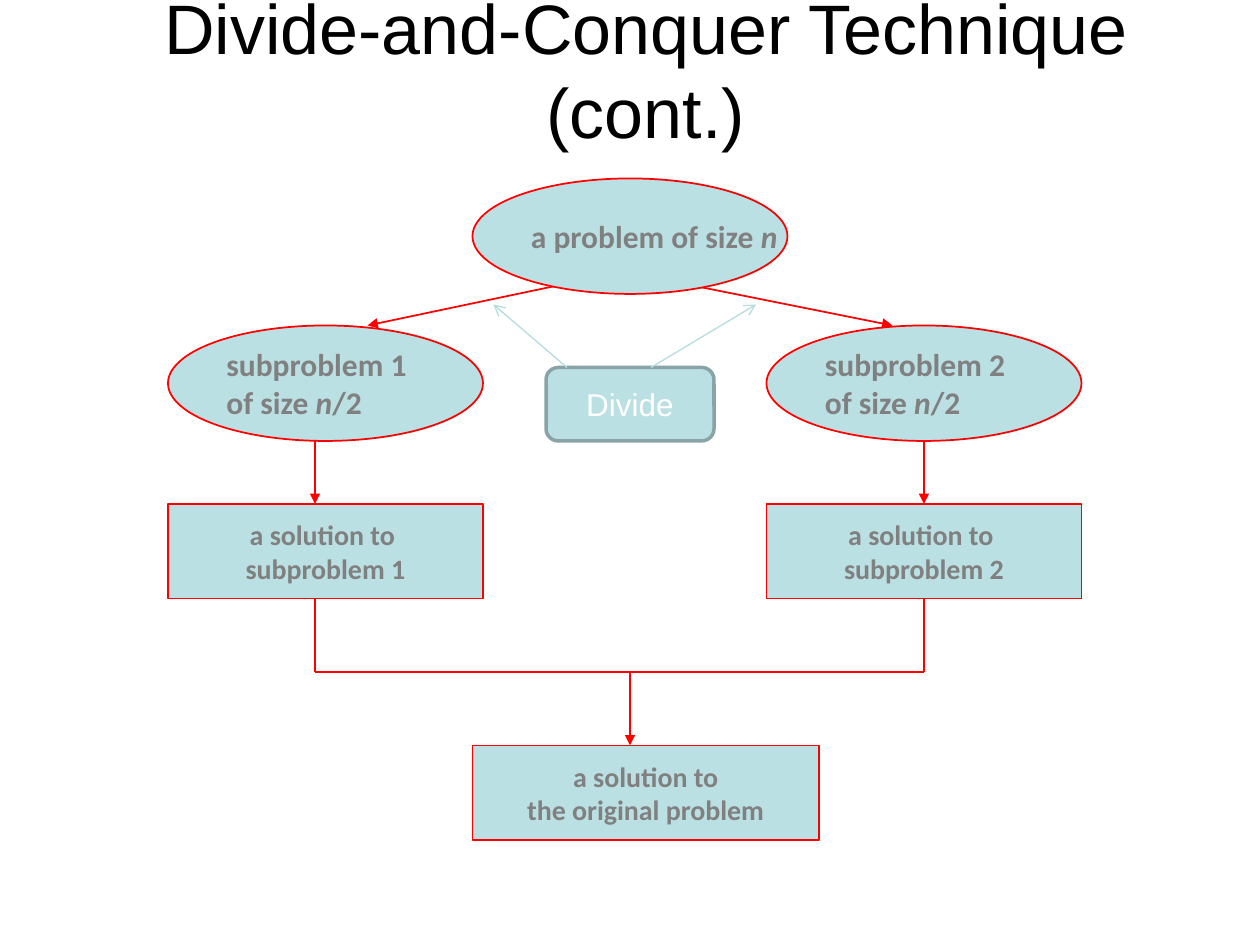
from lxml import etree
from pptx import Presentation
from pptx.dml.color import RGBColor
from pptx.enum.shapes import MSO_CONNECTOR, MSO_SHAPE
from pptx.enum.text import MSO_ANCHOR, MSO_AUTO_SIZE, PP_ALIGN
from pptx.oxml.ns import qn
from pptx.util import Emu, Pt

SCALE = 9525  # EMU per px, 96 px to the inch
OVAL, RECT, ROUND = MSO_SHAPE.OVAL, MSO_SHAPE.RECTANGLE, MSO_SHAPE.ROUNDED_RECTANGLE
STRAIGHT = MSO_CONNECTOR.STRAIGHT
LEFT, CENTER = PP_ALIGN.LEFT, PP_ALIGN.CENTER
MIDDLE, NO_AUTOFIT = MSO_ANCHOR.MIDDLE, MSO_AUTO_SIZE.NONE
COLORS = {
    "title": "000000", "node": "BBE0E3", "edge": "FF0000", "text": "808080",
    "label": "FFFFFF", "label_edge": "89A4A7", "pointer": "B6DCDF",
}


def px(value):
    return Emu(value * SCALE)


def color(name):
    return RGBColor.from_string(COLORS[name])


def style_font(para, size, name, color_name, bold=False):
    font = para.font
    font.size, font.name, font.bold = Pt(size), name, bold
    font.color.rgb = color(color_name)


def add_node(page, kind, box, edge="edge", width=1):
    node = page.shapes.add_shape(kind, *map(px, box))
    node.shadow.inherit = False
    node.fill.solid()
    node.fill.fore_color.rgb = color("node")
    node.line.color.rgb = color(edge)
    node.line.width = Pt(width)
    node.text_frame.vertical_anchor = MIDDLE
    return node


def add_text_node(page, kind, box, lines, size, align):
    """Each line is a list of spans; the span "n" is set in italics."""
    frame = add_node(page, kind, box).text_frame
    frame.word_wrap = False
    for index, spans in enumerate(lines):
        para = frame.add_paragraph() if index else frame.paragraphs[0]
        para.alignment = align
        style_font(para, size, "Calibri", "text", bold=True)
        for text in spans:
            span = para.add_run()
            span.text = text
            if text == "n":
                span.font.italic = True


def add_line(page, start, end, head=None, color_name="edge", width=1):
    line = page.shapes.add_connector(STRAIGHT, *map(px, start + end))
    line.line.color.rgb = color(color_name)
    line.line.width = Pt(width)
    if head:
        etree.SubElement(line.line._get_or_add_ln(), qn("a:tailEnd"), type=head)
    etree.SubElement(line._element.spPr, qn("a:effectLst"))


def add_title(page, box):
    title = page.shapes.title
    title.left, title.top, title.width, title.height = map(px, box)
    frame = title.text_frame
    frame.text = "Divide-and-Conquer Technique (cont.)"
    frame.auto_size = NO_AUTOFIT
    frame.vertical_anchor = MIDDLE
    para = frame.paragraphs[0]
    para.alignment = CENTER
    style_font(para, 40, "Arial", "title")


def add_branch(page, box, number, trunk, join):
    """Subproblem above its solution, with a trunk down to the join line."""
    left, top, width, height = box
    oval_height, solution_height = 88, 72
    solution_top = top + height - solution_height
    add_text_node(page, OVAL, (left, top, width, oval_height),
                  [[f"subproblem {number}"], ["of size ", "n", "/2"]], 18, LEFT)
    add_text_node(page, RECT, (left, solution_top, width, solution_height),
                  [["a solution to "], [f"subproblem {number}"]], 16, CENTER)
    add_line(page, (trunk, top + oval_height), (trunk, solution_top), "triangle")
    add_line(page, (trunk, top + height), (trunk, join))


def add_divide_label(page, box):
    left, top, width, height = box
    label = add_node(page, ROUND, box, "label_edge", 2)
    label.text_frame.word_wrap = True
    para = label.text_frame.paragraphs[0]
    para.text = "Divide"
    para.alignment = CENTER
    style_font(para, 18, "Arial", "label")
    # Pointers to the two dividing arrows
    for start, end in ((16, -40), (80, 160)):
        add_line(page, (left + start, top), (left + end, top - 48),
                 "arrow", "pointer", 0.75)


def main():
    deck = Presentation()
    deck.slide_width, deck.slide_height = px(960), px(720)
    page = deck.slides.add_slide(deck.slide_layouts[5])
    add_title(page, (42, 16, 900, 72))

    # Two branches, joined below
    trunks, join, center = (240, 704), 512, 480
    for number, (left, trunk) in enumerate(zip((128, 584), trunks), 1):
        add_branch(page, (left, 248, 240, 208), number, trunk, join)
    add_line(page, (trunks[0], join), (trunks[1], join))

    # Whole problem, lying over the starts of its arrows
    for start, end in ((432, 280), (520, 680)):
        add_line(page, (start, 216), (end, 248), "triangle")
    add_text_node(page, OVAL, (360, 136, 240, 88),
                  [["a problem of size ", "n"]], 18, LEFT)

    # Combined solution
    add_text_node(page, RECT, (360, 568, 264, 72),
                  [["a solution to"], ["the original problem"]], 16, CENTER)
    add_line(page, (center, join), (center, 568), "triangle")

    add_divide_label(page, (416, 280, 128, 56))
    deck.save("out.pptx")


if __name__ == "__main__":
    main()
